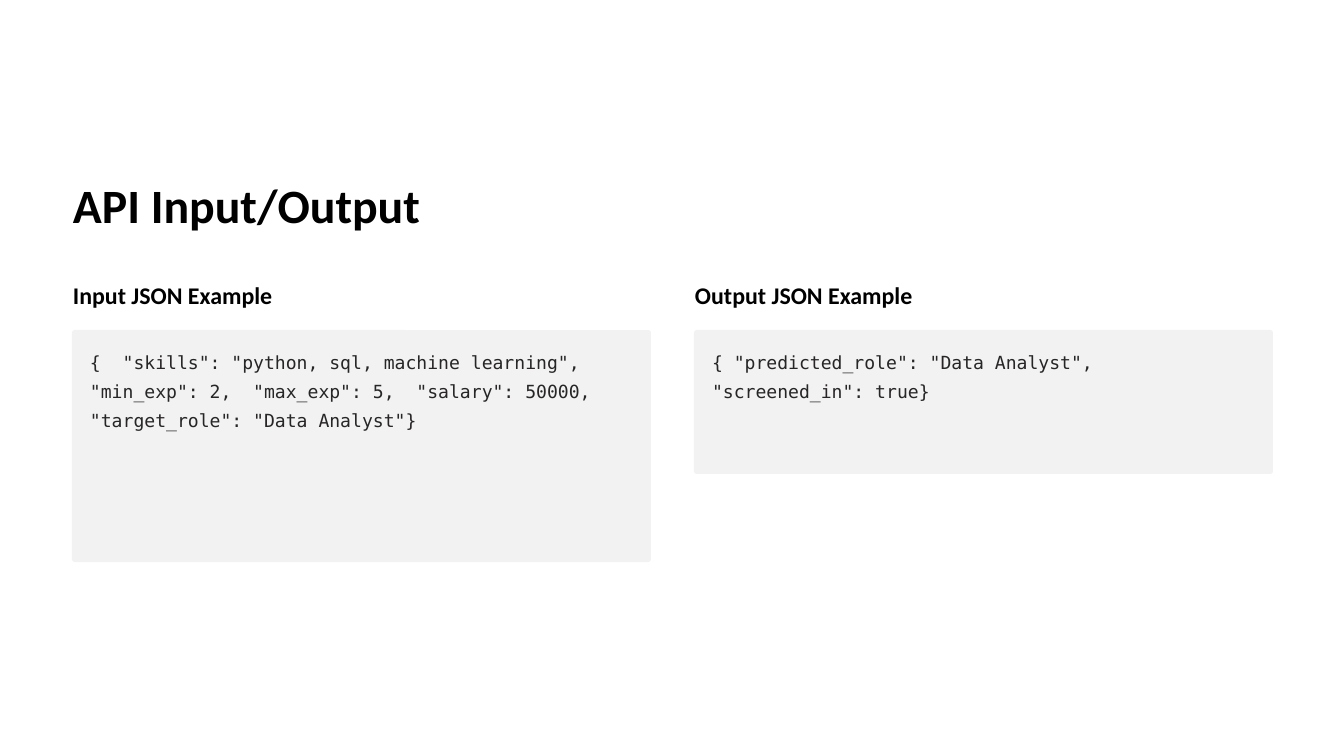
from dataclasses import dataclass

from pptx import Presentation
from pptx.dml.color import RGBColor as Color
from pptx.enum.shapes import MSO_SHAPE as Shape
from pptx.enum.text import MSO_ANCHOR as Anchor
from pptx.util import Pt


@dataclass(frozen=True)
class Theme:
    background: str = "FFFFFF"
    panel: str = "F2F2F2"
    heading: str = "000000"
    code: str = "272525"
    heading_font: str = "Calibri"
    code_font: str = "DejaVu Sans Mono"
    title_size: float = 41
    title_leading: float = 51
    heading_size: float = 20.5
    heading_leading: float = 25.5
    code_size: float = 15.5
    code_leading: float = 25


THEME = Theme()
PX_PER_INCH = 84
EMU_PER_INCH = 914400
LEFT = 72
COLUMN_STEP = 622
PANEL_TOP = 330
PANEL_WIDTH = 579
CORNER = 3
PADDING_X = 18
PADDING_Y = 14

EXAMPLES = [
    (
        "Input JSON Example",
        '{  "skills": "python, sql, machine learning",  "min_exp": 2,  "max_exp": 5,'
        '  "salary": 50000,  "target_role": "Data Analyst"}',
        232,
    ),
    (
        "Output JSON Example",
        '{ "predicted_role": "Data Analyst", "screened_in": true}',
        144,
    ),
]


def px(length):
    return round(length * EMU_PER_INCH / PX_PER_INCH)


def add_text(slide, text, *, left, top, width, height, size, leading,
             font=THEME.heading_font, color=THEME.heading, bold=False, wrap=False):
    box = slide.shapes.add_textbox(px(left), px(top), px(width), px(height))
    frame = box.text_frame
    frame.margin_left = frame.margin_right = frame.margin_top = frame.margin_bottom = 0
    frame.vertical_anchor = Anchor.TOP
    frame.word_wrap = wrap
    paragraph = frame.paragraphs[0]
    paragraph.line_spacing = Pt(leading)
    run = paragraph.add_run()
    run.text = text
    run.font.name = font
    run.font.size = Pt(size)
    run.font.bold = bold
    run.font.color.rgb = Color.from_string(color)


def add_panel(slide, left, top, width, height):
    panel = slide.shapes.add_shape(
        Shape.ROUNDED_RECTANGLE, px(left), px(top), px(width), px(height))
    panel.adjustments[0] = CORNER / min(width, height)
    panel.shadow.inherit = False
    panel.fill.solid()
    panel.fill.fore_color.rgb = Color.from_string(THEME.panel)
    panel.line.fill.background()


def add_example(slide, left, heading, code, height):
    add_text(slide, heading, left=left + 1, top=280, width=240, height=30,
             size=THEME.heading_size, leading=THEME.heading_leading, bold=True)
    add_panel(slide, left, PANEL_TOP, PANEL_WIDTH, height)
    add_text(slide, code, left=left + PADDING_X, top=PANEL_TOP + PADDING_Y,
             width=PANEL_WIDTH - 2 * PADDING_X, height=height - 2 * PADDING_Y,
             size=THEME.code_size, leading=THEME.code_leading,
             font=THEME.code_font, color=THEME.code, wrap=True)


def main():
    presentation = Presentation()
    presentation.slide_width = px(1344)
    presentation.slide_height = px(756)
    slide = presentation.slides.add_slide(presentation.slide_layouts[6])
    slide.background.fill.solid()
    slide.background.fill.fore_color.rgb = Color.from_string(THEME.background)
    add_text(slide, "API Input/Output", left=LEFT + 1, top=174, width=479, height=60,
             size=THEME.title_size, leading=THEME.title_leading, bold=True)
    for column, (heading, code, height) in enumerate(EXAMPLES):
        add_example(slide, LEFT + column * COLUMN_STEP, heading, code, height)
    presentation.save("out.pptx")


if __name__ == "__main__":
    main()
